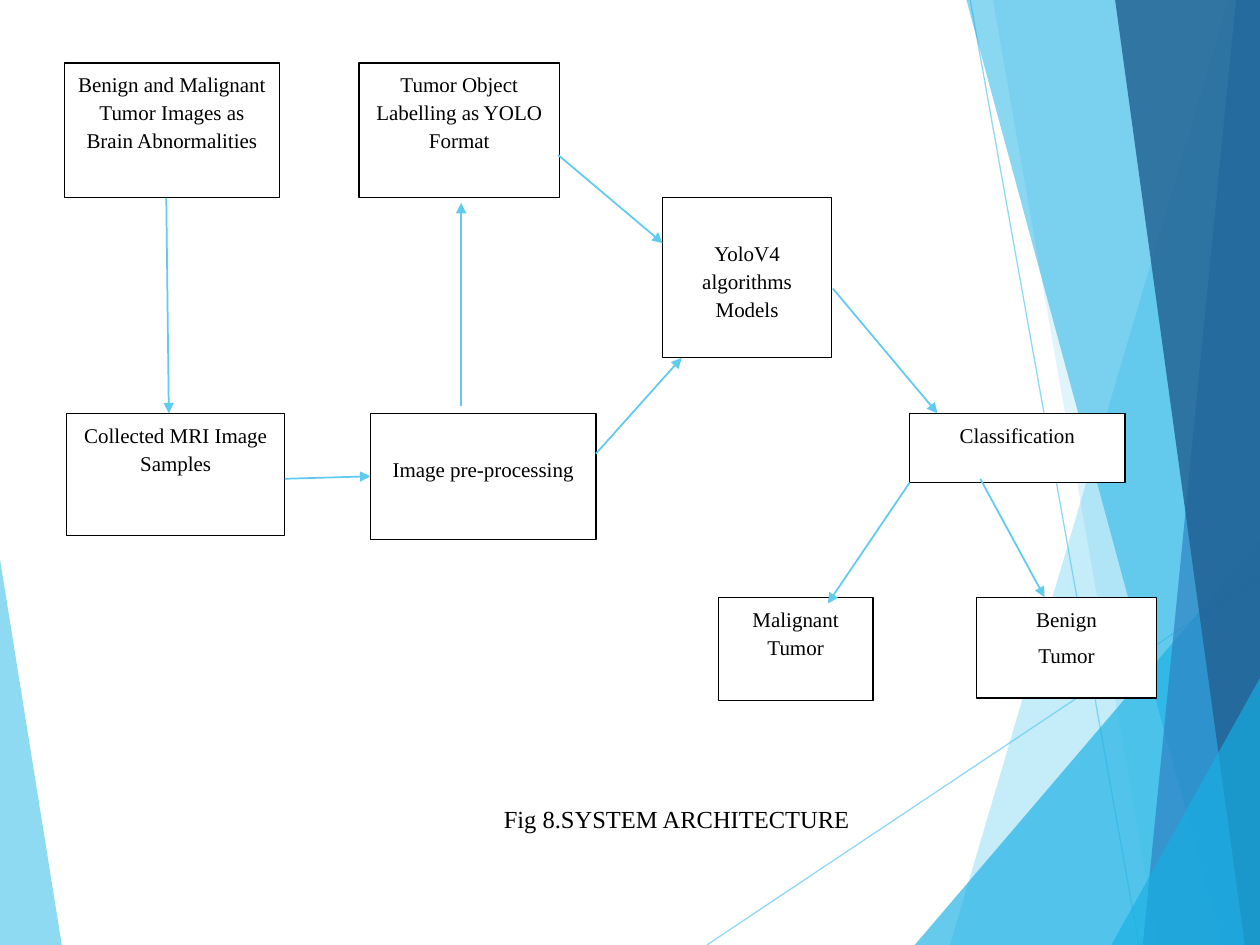
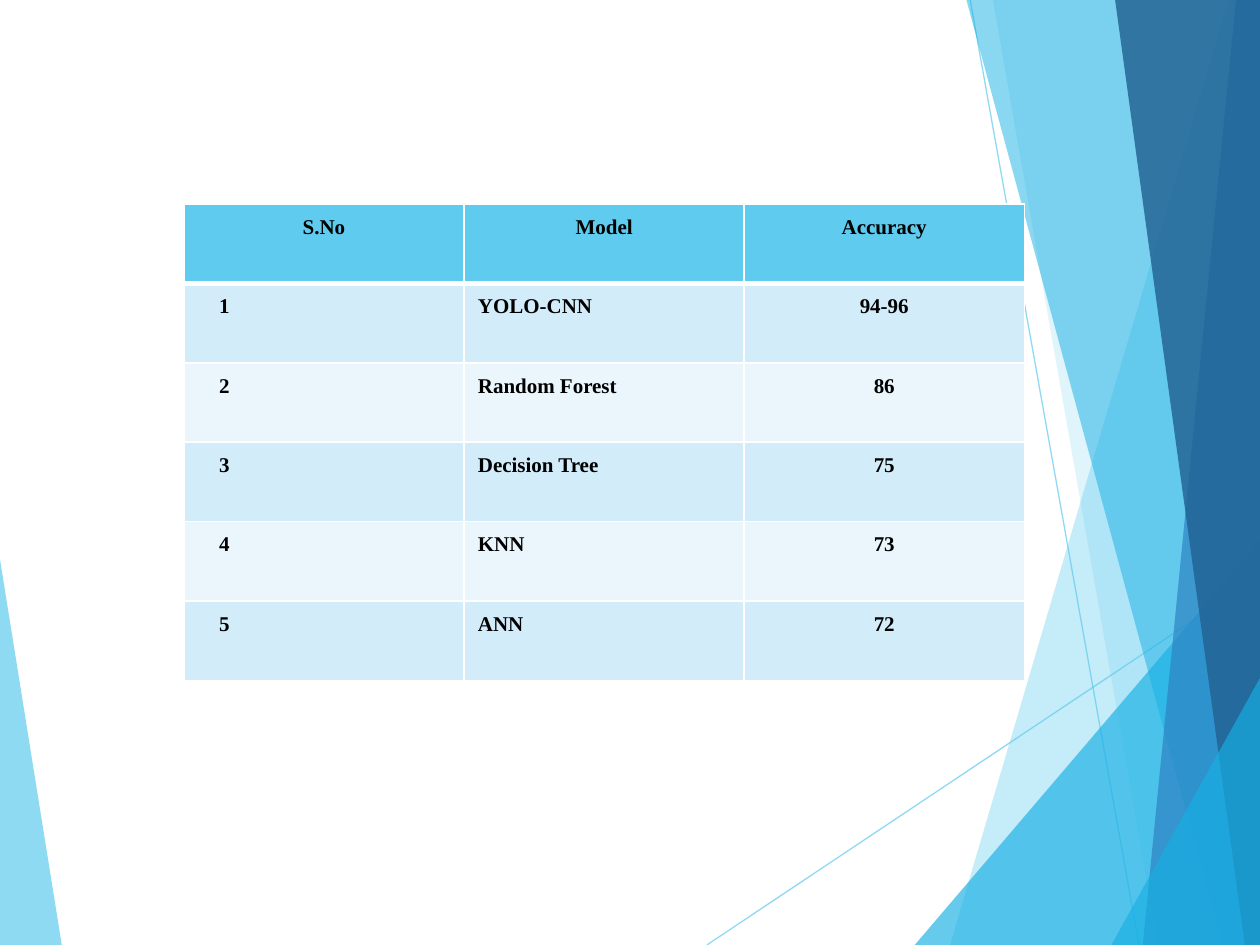
"""Build a brain tumor detection flow chart and its model accuracy table."""
from typing import NamedTuple, Optional

from lxml import etree
from pptx import Presentation
from pptx.dml.color import RGBColor
from pptx.enum.shapes import MSO_CONNECTOR, MSO_SHAPE
from pptx.enum.text import MSO_ANCHOR, PP_ALIGN
from pptx.oxml.ns import qn
from pptx.util import Emu, Inches, Pt

RECTANGLE = MSO_SHAPE.RECTANGLE
STRAIGHT = MSO_CONNECTOR.STRAIGHT
TOP = MSO_ANCHOR.TOP
LEFT, CENTER = PP_ALIGN.LEFT, PP_ALIGN.CENTER

SKY = RGBColor(0x5F, 0xCB, 0xEF)
AZURE = RGBColor(0x17, 0xB0, 0xE4)
BLUE = RGBColor(0x2E, 0x83, 0xC3)
NAVY = RGBColor(0x22, 0x62, 0x92)
BAND_DARK = RGBColor(0xD2, 0xEC, 0xF9)
BAND_LIGHT = RGBColor(0xEA, 0xF6, 0xFC)
WHITE = RGBColor(0xFF, 0xFF, 0xFF)
BLACK = RGBColor(0, 0, 0)

SLIDE_WIDTH, SLIDE_HEIGHT = Inches(10), Inches(7.5)
GRID_COLUMNS, GRID_ROWS = 100, 75
LEFT_SIDE = 1

BODY_FONT = {"name": "Times New Roman", "size": Pt(12)}
CAPTION_FONT = {**BODY_FONT, "size": Pt(14)}
TABLE_FONT = {**BODY_FONT, "bold": True}
BOX_PARAGRAPH = {"alignment": CENTER, "line_spacing": 1.11, "space_after": Pt(5)}
Point = tuple[float, float]


class Facet(NamedTuple):
    """A translucent polygon of the backdrop, in grid units."""
    color: RGBColor
    opacity: int
    corners: tuple[Point, ...]


class Ray(NamedTuple):
    """A thin translucent line of the backdrop."""
    start: Point
    end: Point


class Box(NamedTuple):
    """A step of the flow chart, in grid units."""
    left: float
    top: float
    width: float
    height: float
    lines: tuple[str, ...]
    top_inset: float = 0.5


class Arrow(NamedTuple):
    """An arrow between steps; target names a box joined at its left side."""
    start: Point
    end: Point
    target: Optional[str] = None


BACKDROP = (
    Facet(SKY, 70, ((0, 44.4), (4.9, 75), (0, 75))),
    Ray((56.1, 75), (100, 45.7)),
    Ray((77, 0), (90.4, 75)),
    Facet(SKY, 36, ((97.5, 0), (75.4, 75), (100, 75), (100, 0))),
    Facet(SKY, 20, ((78.8, 0), (91.9, 75), (100, 75), (100, 0))),
    Facet(AZURE, 66, ((72.6, 75), (100, 42.9), (100, 75))),
    Facet(AZURE, 50, ((76.7, 0), (97, 75), (100, 75), (100, 0))),
    Facet(BLUE, 70, ((98.1, 0), (90.7, 75), (100, 75), (100, 0))),
    Facet(NAVY, 82, ((88.5, 0), (98.8, 75), (100, 75), (100, 0))),
    Facet(AZURE, 66, ((88.2, 75), (100, 53.8), (100, 75))),
)

BOXES = {
    "images": Box(5.1, 5, 17.1, 10.7,
                  ("Benign and Malignant Tumor Images as Brain Abnormalities",)),
    "samples": Box(5.3, 32.8, 17.3, 9.7, ("Collected MRI Image Samples",)),
    "pre-processing": Box(29.4, 32.8, 17.9, 10, ("Image pre-processing",), 3.2),
    "labelling": Box(28.5, 5, 15.9, 10.7, ("Tumor Object Labelling as YOLO Format",)),
    "models": Box(52.6, 15.7, 13.4, 12.7, ("YoloV4 algorithms Models",), 3.2),
    "classification": Box(72.2, 32.8, 17.1, 5.5, ("Classification",)),
    "malignant": Box(57, 47.4, 12.3, 8.2, ("Malignant Tumor",)),
    "benign": Box(77.5, 47.4, 14.3, 8, ("Benign", "Tumor")),
}

ARROWS = (
    Arrow((13.2, 15.7), (13.4, 32.8)),
    Arrow((22.6, 38), (29.4, 37.8), "pre-processing"),
    Arrow((36.6, 32.2), (36.6, 16.1)),
    Arrow((47.3, 36), (54.1, 28.4)),
    Arrow((44.3, 12.3), (52.6, 19.3)),
    Arrow((66.1, 22.9), (74.4, 32.8)),
    Arrow((72.2, 38.3), (65.7, 47.9)),
    Arrow((77.8, 38), (82.9, 47.4)),
)

ACCURACY_ROWS = (
    ("S.No", "Model", "Accuracy"),
    ("1", "YOLO-CNN", "94-96"),
    ("2", "Random Forest", "86"),
    ("3", "Decision Tree", "75"),
    ("4", "KNN", "73"),
    ("5", "ANN", "72"),
)
COLUMN_STYLES = ((LEFT, 2.8), (LEFT, 1.1), (CENTER, 0.7))
HEADER_STYLE = (CENTER, 0.7)


def across(columns: float) -> Emu:
    """Turn grid columns into a length."""
    return Emu(round(SLIDE_WIDTH * columns / GRID_COLUMNS))


def down(rows: float) -> Emu:
    """Turn grid rows into a length."""
    return Emu(round(SLIDE_HEIGHT * rows / GRID_ROWS))


def locate(point: Point) -> tuple[Emu, Emu]:
    """Turn a grid point into a slide position."""
    return across(point[0]), down(point[1])


def apply_format(target, values: dict) -> None:
    """Set every named attribute on the target."""
    for name, value in values.items():
        setattr(target, name, value)


def write(paragraph, text: str, font: dict, layout: dict) -> None:
    """Write one formatted run into a paragraph."""
    apply_format(paragraph, layout)
    run = paragraph.add_run()
    run.text = text
    apply_format(run.font, font)
    run.font.color.rgb = BLACK


def set_opacity(shape, percent: int) -> None:
    """Make the colours of a shape translucent."""
    for color in shape.element.iter(qn("a:srgbClr")):
        etree.SubElement(color, qn("a:alpha"), val=str(percent * 1000))


def draw_line(shapes, start: Point, end: Point, width: float):
    """Draw a straight sky blue line without a shadow."""
    connector = shapes.add_connector(STRAIGHT, *locate(start), *locate(end))
    connector.line.color.rgb = SKY
    connector.line.width = Pt(width)
    etree.SubElement(connector.element.spPr, qn("a:effectLst"))
    return connector


def draw_facet(shapes, facet: Facet) -> None:
    """Draw one polygon of the backdrop."""
    first, *others = [locate(corner) for corner in facet.corners]
    builder = shapes.build_freeform(*first)
    builder.add_line_segments(others, close=True)
    shape = builder.convert_to_shape()
    shape.shadow.inherit = False
    shape.fill.solid()
    shape.fill.fore_color.rgb = facet.color
    shape.line.fill.background()
    set_opacity(shape, facet.opacity)


def install_backdrop(slide, layout) -> None:
    """Draw the backdrop once and hand it to the shared layout."""
    for placeholder in list(layout.placeholders):
        layout.shapes.element.remove(placeholder.element)
    group = slide.shapes.add_group_shape()
    for part in BACKDROP:
        if isinstance(part, Facet):
            draw_facet(group.shapes, part)
        else:
            set_opacity(draw_line(group.shapes, part.start, part.end, 0.75), 70)
    layout.shapes.element.append(group.element)


def draw_box(slide, box: Box):
    """Draw one step of the flow chart."""
    shape = slide.shapes.add_shape(RECTANGLE, across(box.left), down(box.top),
                                   across(box.width), down(box.height))
    shape.shadow.inherit = False
    shape.fill.solid()
    shape.fill.fore_color.rgb = WHITE
    shape.line.color.rgb = BLACK
    shape.line.width = Pt(0.75)
    frame = shape.text_frame
    apply_format(frame, {"word_wrap": True, "vertical_anchor": TOP,
                         "margin_top": down(box.top_inset)})
    for index, line in enumerate(box.lines):
        paragraph = frame.add_paragraph() if index else frame.paragraphs[0]
        write(paragraph, line, BODY_FONT, BOX_PARAGRAPH)
    return shape


def draw_arrow(slide, arrow: Arrow, steps: dict) -> None:
    """Draw an arrow, joined to its target if it has one."""
    connector = draw_line(slide.shapes, arrow.start, arrow.end, 1)
    if arrow.target:
        connector.end_connect(steps[arrow.target], LEFT_SIDE)
    outline = connector.element.spPr.find(qn("a:ln"))
    etree.SubElement(outline, qn("a:tailEnd"), type="triangle")


def draw_architecture(slide) -> None:
    """Draw the flow chart with its caption."""
    steps = {name: draw_box(slide, box) for name, box in BOXES.items()}
    for arrow in ARROWS:
        draw_arrow(slide, arrow, steps)
    caption = slide.shapes.add_textbox(across(39), down(63.3), across(30.3), down(3.4))
    caption.text_frame.word_wrap = True
    write(caption.text_frame.paragraphs[0], "Fig 8.SYSTEM ARCHITECTURE",
          CAPTION_FONT, {"alignment": LEFT})


def set_borders(cell, top: float, bottom: float) -> None:
    """Give a cell white borders, with its own top and bottom widths."""
    properties = cell._tc.get_or_add_tcPr()
    widths = {"a:lnL": 1, "a:lnR": 1, "a:lnT": top, "a:lnB": bottom}
    for index, (tag, width) in enumerate(widths.items()):
        border = etree.Element(qn(tag), w=str(Pt(width)))
        fill = etree.SubElement(border, qn("a:solidFill"))
        etree.SubElement(fill, qn("a:srgbClr"), val=str(WHITE))
        properties.insert(index, border)


def draw_accuracy_table(slide) -> None:
    """Draw the table of model accuracies."""
    table = slide.shapes.add_table(len(ACCURACY_ROWS), len(COLUMN_STYLES), across(14.6),
                                   down(16.2), across(66.7), down(37.8)).table
    for row_index, row in enumerate(ACCURACY_ROWS):
        is_header = row_index == 0
        color = SKY if is_header else (BAND_LIGHT, BAND_DARK)[row_index % 2]
        for column_index, text in enumerate(row):
            cell = table.cell(row_index, column_index)
            alignment, inset = HEADER_STYLE if is_header else COLUMN_STYLES[column_index]
            apply_format(cell, {"margin_left": across(inset), "margin_right": across(0.7),
                                "margin_top": 0, "margin_bottom": 0})
            cell.fill.solid()
            cell.fill.fore_color.rgb = color
            set_borders(cell, 3 if row_index == 1 else 1, 3 if is_header else 1)
            write(cell.text_frame.paragraphs[0], text, TABLE_FONT,
                  {"alignment": alignment, "line_spacing": 1.5})


def main() -> None:
    """Build and save the presentation."""
    presentation = Presentation()
    presentation.slide_width, presentation.slide_height = SLIDE_WIDTH, SLIDE_HEIGHT
    blank = presentation.slide_layouts[6]
    architecture = presentation.slides.add_slide(blank)
    install_backdrop(architecture, blank)
    draw_architecture(architecture)
    draw_accuracy_table(presentation.slides.add_slide(blank))
    presentation.save("out.pptx")


if __name__ == "__main__":
    main()
